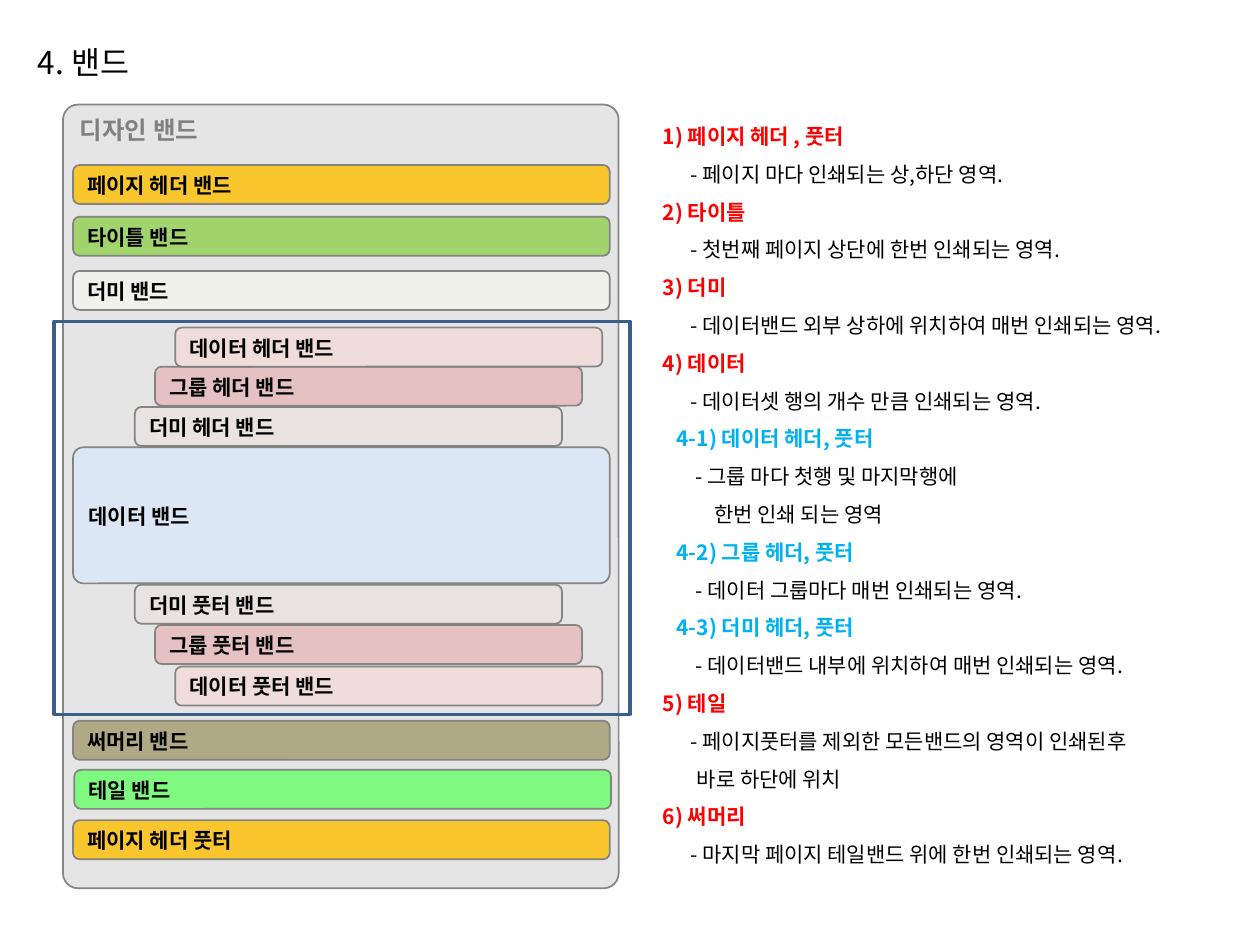
from lxml import etree
from pptx import Presentation
from pptx.dml.color import RGBColor
from pptx.enum.shapes import MSO_SHAPE as SHAPE
from pptx.enum.text import MSO_ANCHOR as ANCHOR, MSO_AUTO_SIZE as AUTO, PP_ALIGN as ALIGN
from pptx.oxml.ns import qn
from pptx.util import Inches, Pt

FONT = "Noto Sans CJK KR"
BLACK = RGBColor(0x00, 0x00, 0x00)
GRAY = RGBColor(0x80, 0x80, 0x80)
SILVER = RGBColor(0xBF, 0xBF, 0xBF)
RED = RGBColor(0xFF, 0x00, 0x00)
SKY = RGBColor(0x00, 0xB0, 0xF0)
NAVY = RGBColor(0x3A, 0x5F, 0x8C)
AMBER = RGBColor(0xFF, 0xC0, 0x00)
GREEN = RGBColor(0x92, 0xD0, 0x50)
LIME = RGBColor(0x66, 0xFF, 0x66)
IVORY = RGBColor(0xF5, 0xF4, 0xED)
PALE_BLUE = RGBColor(0xDA, 0xE8, 0xFA)
ROSE = RGBColor(0xE6, 0xB9, 0xB8)
PINK = RGBColor(0xF2, 0xDC, 0xDB)
OLIVE = RGBColor(0x94, 0x8A, 0x54)


def write(p, text, size, color, bold, spacing):
    p.alignment = ALIGN.LEFT
    p.line_spacing = Pt(spacing)
    p.space_before = Pt(0)
    r = p.add_run()
    r.text = text
    r.font.size, r.font.bold, r.font.name = Pt(size), bold, FONT
    r.font.color.rgb = color
    etree.SubElement(r.font._element, qn("a:ea"), typeface=FONT)


def add_band(shapes, text, box, color, opacity, radius=0.167, size=12,
             text_color=BLACK, spacing=15, anchor=ANCHOR.MIDDLE):
    s = shapes.add_shape(SHAPE.ROUNDED_RECTANGLE, *[Inches(v) for v in box])
    s.shadow.inherit = False
    s.adjustments[0] = radius
    s.fill.solid()
    s.fill.fore_color.rgb = color
    s.line.color.rgb = GRAY
    s.line.width = Pt(1)
    fills = s._element.spPr.iter(qn("a:srgbClr"))
    for clr, percent in zip(list(fills), (opacity, 95)):
        etree.SubElement(clr, qn("a:alpha"), val=str(percent * 1000))
    s.text_frame.vertical_anchor = anchor
    write(s.text_frame.paragraphs[0], text, size, text_color, True, spacing)


prs = Presentation()
prs.slide_width, prs.slide_height = Inches(10), Inches(7.5)
slide = prs.slides.add_slide(prs.slide_layouts[1])
title, body = slide.placeholders

# Title
title.left, title.top, title.width, title.height = [Inches(v) for v in (0.2, 0.27, 9.69, 0.4)]
tf = title.text_frame
tf.auto_size, tf.vertical_anchor = AUTO.NONE, ANCHOR.TOP
write(tf.paragraphs[0], "4. 밴드", 18, BLACK, False, 23)

# Design area
add_band(slide.shapes, "디자인 밴드", (0.5, 0.83, 4.41, 6.22), SILVER, 40,
         radius=0.027, size=14, text_color=GRAY, spacing=17, anchor=ANCHOR.TOP)

# Full-width bands
BAND_H = 0.31
for text, left, top, color, opacity in (
    ("페이지 헤더 밴드", 0.58, 1.31, AMBER, 80),
    ("타이틀 밴드", 0.58, 1.72, GREEN, 80),
    ("더미 밴드", 0.58, 2.15, IVORY, 80),
    ("써머리 밴드", 0.58, 5.72, OLIVE, 65),
    ("테일 밴드", 0.59, 6.11, LIME, 80),
    ("페이지 헤더 풋터", 0.58, 6.51, AMBER, 80),
):
    add_band(slide.shapes, text, (left, top, 4.26, BAND_H), color, opacity)

# Data band with its nested headers and footers
group = slide.shapes.add_group_shape()
add_band(group.shapes, "데이터 밴드", (0.58, 3.55, 4.26, 1.08), PALE_BLUE, 80, radius=0.076)
for name, left, header_top, footer_top, color, opacity in (
    ("그룹", 1.23, 2.91, 4.96, ROSE, 80),
    ("데이터", 1.39, 2.6, 5.29, PINK, 90),
    ("더미", 1.07, 3.23, 4.64, PINK, 30),
):
    for part, top in (("헤더", header_top), ("풋터", footer_top)):
        add_band(group.shapes, f"{name} {part} 밴드", (left, top, 3.39, BAND_H), color, opacity)

# Frame around the data bands
s = slide.shapes.add_shape(SHAPE.RECTANGLE, Inches(0.43), Inches(2.55), Inches(4.57), Inches(3.12))
s.shadow.inherit = False
s.fill.background()
s.line.color.rgb = NAVY
s.line.width = Pt(2)

# Descriptions: indent in inches, colour, text
body.left, body.top, body.width, body.height = [Inches(v) for v in (5.16, 0.83, 4.72, 6.46)]
tf = body.text_frame
tf.auto_size, tf.vertical_anchor, tf.word_wrap = AUTO.NONE, ANCHOR.TOP, True
for i, (indent, color, text) in enumerate((
    (0, RED, "1) 페이지 헤더 , 풋터"),
    (0.22, BLACK, "- 페이지 마다 인쇄되는 상,하단 영역."),
    (0, RED, "2) 타이틀"),
    (0.22, BLACK, "- 첫번째 페이지 상단에 한번 인쇄되는 영역."),
    (0, RED, "3) 더미"),
    (0.22, BLACK, "- 데이터밴드 외부 상하에 위치하여 매번 인쇄되는 영역."),
    (0, RED, "4) 데이터"),
    (0.22, BLACK, "- 데이터셋 행의 개수 만큼 인쇄되는 영역."),
    (0.11, SKY, "4-1) 데이터 헤더, 풋터"),
    (0.26, BLACK, "- 그룹 마다 첫행 및 마지막행에"),
    (0.41, BLACK, "한번 인쇄 되는 영역"),
    (0.11, SKY, "4-2) 그룹 헤더, 풋터"),
    (0.26, BLACK, "- 데이터 그룹마다 매번 인쇄되는 영역."),
    (0.11, SKY, "4-3) 더미 헤더, 풋터"),
    (0.26, BLACK, "- 데이터밴드 내부에 위치하여 매번 인쇄되는 영역."),
    (0, RED, "5) 테일"),
    (0.22, BLACK, "- 페이지풋터를 제외한 모든밴드의 영역이 인쇄된후"),
    (0.27, BLACK, "바로 하단에 위치"),
    (0, RED, "6) 써머리"),
    (0.22, BLACK, "- 마지막 페이지 테일밴드 위에 한번 인쇄되는 영역."),
)):
    p = tf.add_paragraph() if i else tf.paragraphs[0]
    write(p, text, 12, color, color != BLACK, 21.6)
    pPr = p._p.get_or_add_pPr()
    pPr.set("marL", str(Inches(indent)))
    pPr.set("indent", "0")
    etree.SubElement(pPr, qn("a:buNone"))

prs.save("out.pptx")
